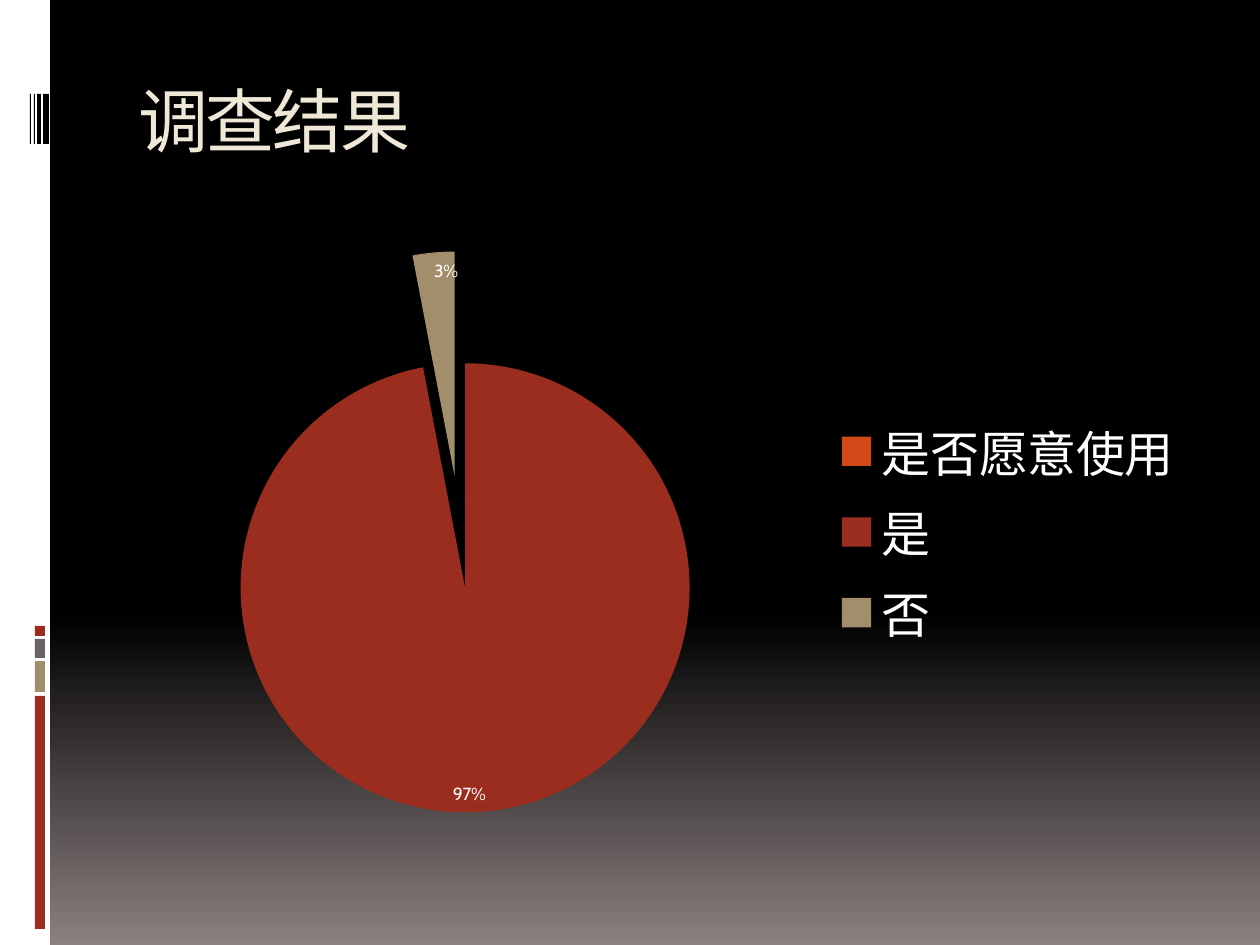
from copy import deepcopy

from pptx import Presentation
from pptx.chart.data import CategoryChartData
from pptx.dml.color import RGBColor
from pptx.enum.chart import XL_CHART_TYPE, XL_LABEL_POSITION, XL_LEGEND_POSITION
from pptx.enum.shapes import MSO_SHAPE
from pptx.enum.text import MSO_ANCHOR
from pptx.oxml.ns import qn
from pptx.util import Pt

PIE = XL_CHART_TYPE.PIE
INSIDE_END = XL_LABEL_POSITION.INSIDE_END
LEGEND_RIGHT = XL_LEGEND_POSITION.RIGHT
RECTANGLE = MSO_SHAPE.RECTANGLE
TOP = MSO_ANCHOR.TOP

EMU_PER_PX = 914400 / 126
FONT = "Cabin"
BLACK = RGBColor(0x00, 0x00, 0x00)
WHITE = RGBColor(0xFF, 0xFF, 0xFF)
CREAM = RGBColor(0xEF, 0xE8, 0xD6)
MAUVE = RGBColor(0x8C, 0x80, 0x80)
ORANGE = RGBColor(0xD3, 0x48, 0x17)
RED = RGBColor(0x9B, 0x2D, 0x1F)
TAN = RGBColor(0xA2, 0x8E, 0x6A)
GRAY = RGBColor(0x69, 0x64, 0x64)


def px(length):
    """Turn pixels into EMU."""
    return round(length * EMU_PER_PX)


def add_rectangle(slide, left, top, width, height, color):
    """Add a plain filled rectangle."""
    shape = slide.shapes.add_shape(RECTANGLE, px(left), px(top), px(width), px(height))
    shape.shadow.inherit = False
    shape.fill.solid()
    shape.fill.fore_color.rgb = color
    shape.line.fill.background()


def add_text(slide, text, left, top, width, height, *, size, color, spacing=0):
    """Add a text box with one formatted run."""
    box = slide.shapes.add_textbox(px(left), px(top), px(width), px(height))
    frame = box.text_frame
    frame.word_wrap = True
    frame.vertical_anchor = TOP
    run = frame.paragraphs[0].add_run()
    run.text = text
    run.font.name = FONT
    run.font.size = Pt(size)
    run.font.color.rgb = color
    run.font._element.set("spc", str(round(spacing * 100)))


def paint_background(slide):
    """Fill the slide with black that fades to mauve at the bottom."""
    fill = slide.background.fill
    fill.gradient()
    fill.gradient_angle = 270
    stop_list = slide.element.find(".//" + qn("a:gsLst"))
    stop_list.insert(1, deepcopy(stop_list[0]))
    for stop, position, color in zip(fill.gradient_stops, (0, 0.65, 1), (BLACK, BLACK, MAUVE)):
        stop.position = position
        stop.color.rgb = color


def add_side_strip(slide, left, top, width, height):
    """Draw the white strip with its barcode and coloured blocks."""
    add_rectangle(slide, left, top, width, height, WHITE)
    for offset, block_height, color in ((626, 10, RED), (639, 19, GRAY), (661, 31, TAN), (696, 233, RED)):
        add_rectangle(slide, left + 35, top + offset, 10, block_height, color)
    for offset, bar_width in ((30, 1), (34, 1), (37, 4), (43, 6)):
        add_rectangle(slide, left + offset, top + 94, bar_width, 50, BLACK)


def add_survey_chart(slide, left, top, width, height):
    """Add the exploded pie of survey answers with its legend."""
    data = CategoryChartData()
    data.categories = ["是否愿意使用", "是", "否"]
    data.add_series("Series 1", (None, 97, 3))
    frame = slide.shapes.add_chart(PIE, px(left), px(top), px(width), px(height), data)
    chart = frame.chart
    chart.has_title = False
    chart.font.name = FONT
    chart.font.size = Pt(10)
    chart.font.color.rgb = WHITE

    chart.has_legend = True
    legend = chart.legend
    legend.position = LEGEND_RIGHT
    legend.include_in_layout = False
    legend.font.name = FONT
    legend.font.size = Pt(28)
    legend.font.color.rgb = WHITE

    plot = chart.plots[0]
    plot.vary_by_categories = True
    series = plot.series[0]
    for index, color in enumerate((ORANGE, RED, TAN)):
        fill = series.points[index].format.fill
        fill.solid()
        fill.fore_color.rgb = color
    explosion = series._element.makeelement(qn("c:explosion"), {"val": "25"})
    series._element.find(qn("c:dPt")).addprevious(explosion)

    labels = series.data_labels
    labels.show_percentage = True
    labels.show_value = False
    labels.number_format = "0%"
    labels.number_format_is_linked = False
    labels.position = INSIDE_END


def main():
    """Build and save the survey result slide."""
    presentation = Presentation()
    presentation.slide_width = px(1260)
    presentation.slide_height = px(945)
    slide = presentation.slides.add_slide(presentation.slide_layouts[6])
    paint_background(slide)
    add_side_strip(slide, 0, 0, 50, 945)
    add_text(slide, "调查结果", 126, 71, 1071, 126, size=40, color=CREAM, spacing=-1.5)
    add_survey_chart(slide, 94, 234, 1106, 596)
    presentation.save("out.pptx")


if __name__ == "__main__":
    main()
